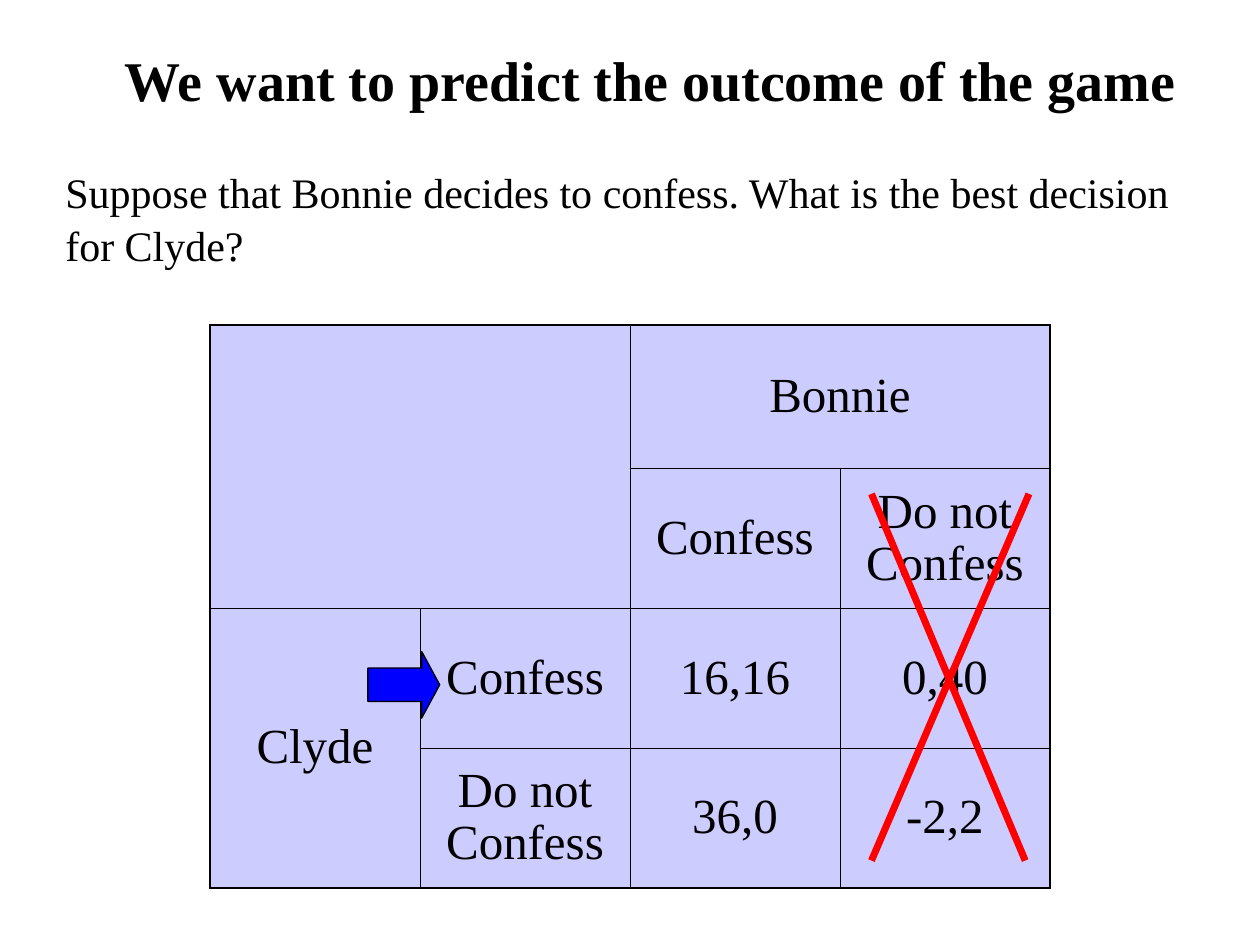
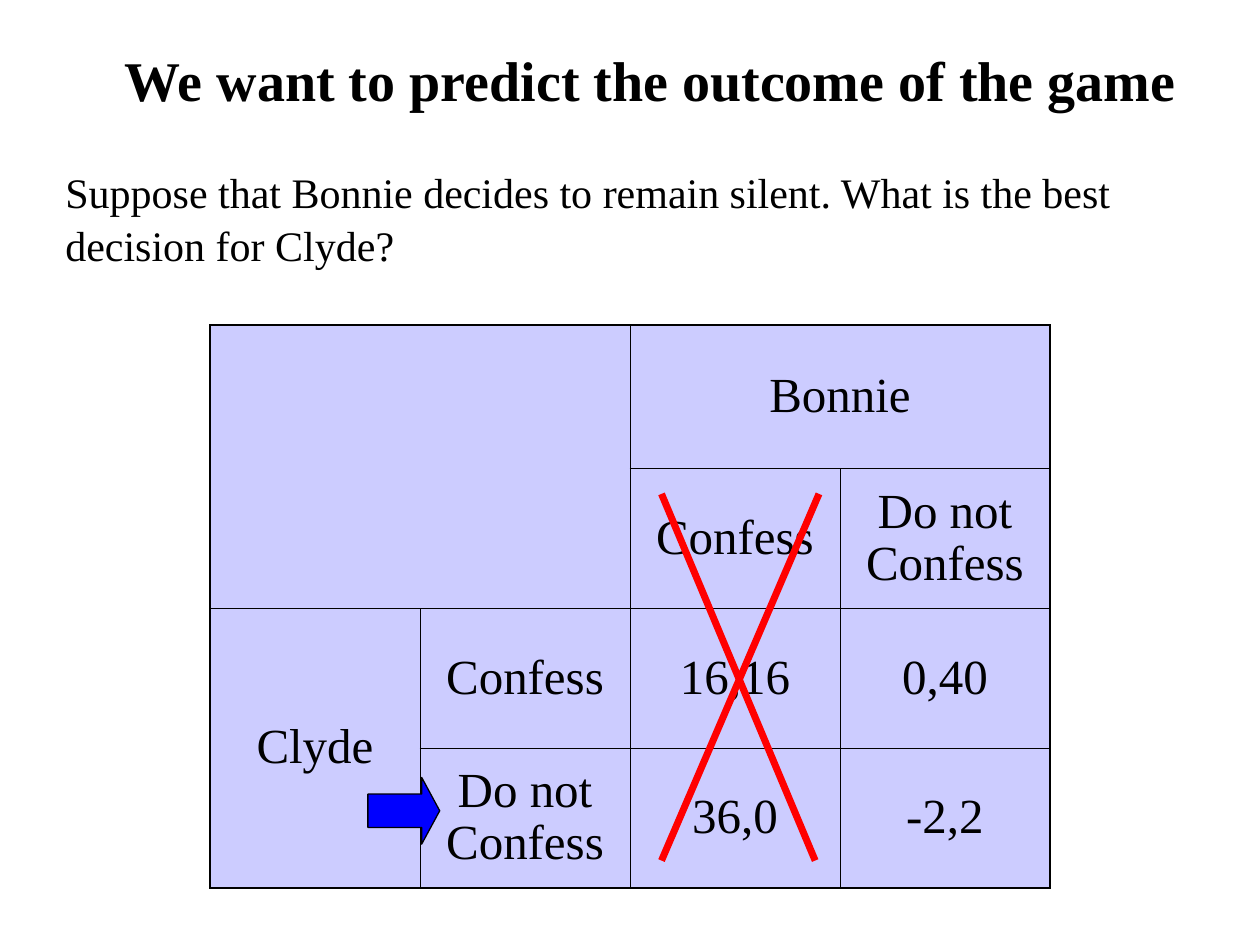
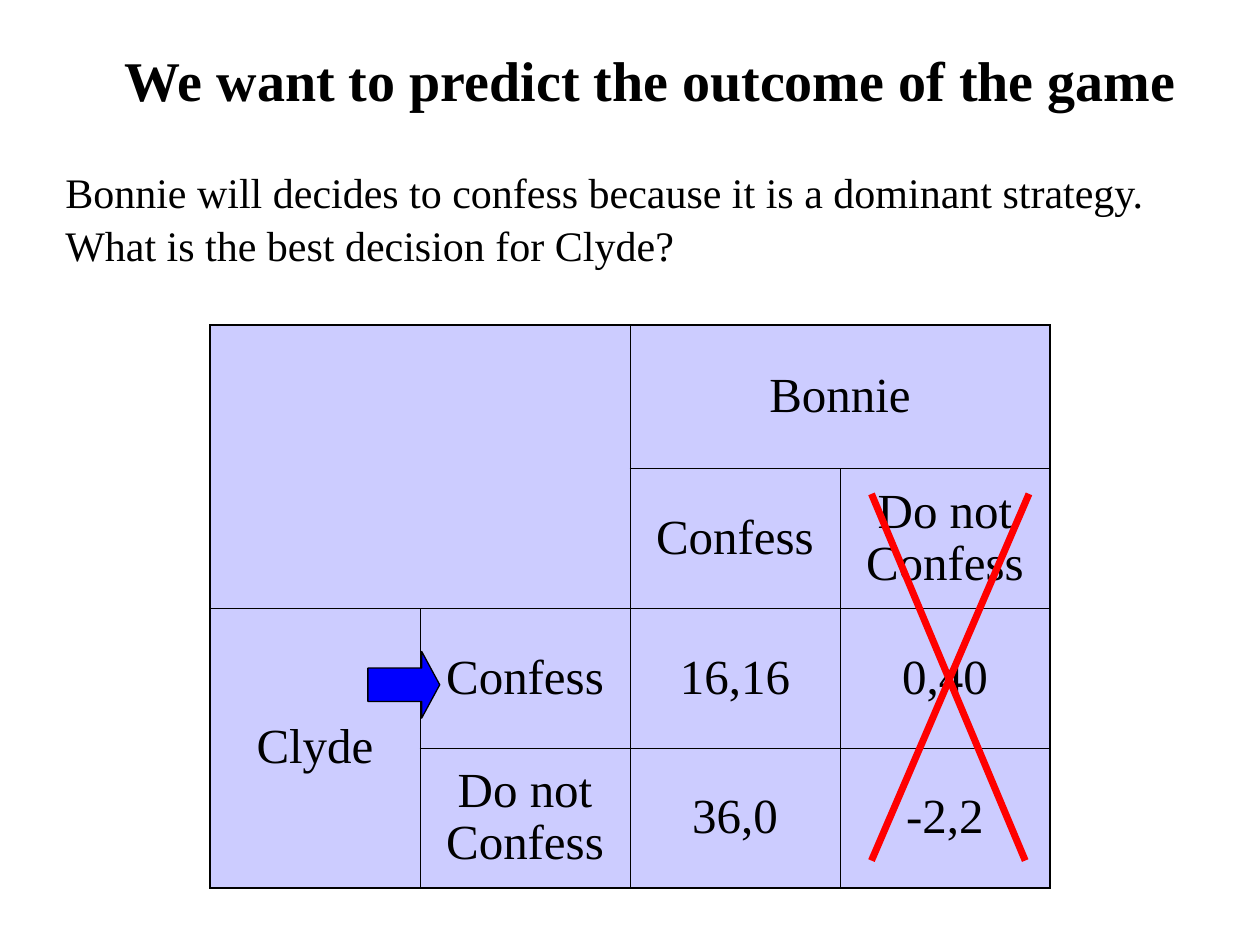
from lxml.etree import SubElement
from pptx import Presentation
from pptx.dml.color import RGBColor
from pptx.enum.shapes import MSO_CONNECTOR, MSO_SHAPE
from pptx.enum.text import MSO_ANCHOR, PP_ALIGN
from pptx.oxml.ns import qn
from pptx.util import Inches, Pt

# Content
TITLE = "We want to predict the outcome of the game"
SLIDES = [
    # question, struck column of the game, top of the arrow
    ("Suppose that Bonnie decides to confess. "
     "What is the best decision for Clyde?", 3, 5.17),
    ("Suppose that Bonnie decides to remain silent. "
     "What is the best decision for Clyde?", 2, 6.17),
    ("Bonnie will decides to confess because it is a dominant strategy. "
     "What is the best decision for Clyde?", 3, 5.17),
]
GAME = [
    # row, column, rows spanned, columns spanned, text
    (0, 0, 2, 2, ""),
    (0, 2, 1, 2, "Bonnie"),
    (1, 2, 1, 1, "Confess"),
    (1, 3, 1, 1, "Do not Confess"),
    (2, 0, 2, 1, "Clyde"),
    (2, 1, 1, 1, "Confess"),
    (2, 2, 1, 1, "16,16"),
    (2, 3, 1, 1, "0,40"),
    (3, 1, 1, 1, "Do not Confess"),
    (3, 2, 1, 1, "36,0"),
    (3, 3, 1, 1, "-2,2"),
]

# Shared look
FONT = "Times New Roman"
COLORS = {"ink": "000000", "cell": "CCCCFF", "cross": "FF0000", "arrow": "0000FF"}
OUTER, INNER = 1.08, 0.45

# Layout in inches
SLIDE_W, SLIDE_H = 10, 7.5
COLUMN_W = SLIDE_W / 6
GAME_LEFT, GAME_TOP = COLUMN_W, 2.58
ROW_HEIGHTS = [1.14, 1.11, 1.11, 1.11]
SIZE = len(ROW_HEIGHTS)
CROSS_INSET, CROSS_TOP, CROSS_BOTTOM = 0.25, 3.92, 6.83


def color(name):
    return RGBColor.from_string(COLORS[name])


def box(*lengths):
    return [Inches(length) for length in lengths]


def write(frame, text, size, bold=False, align=PP_ALIGN.LEFT, spacing=1.0):
    paragraph = frame.paragraphs[0]
    paragraph.alignment = align
    paragraph.line_spacing = spacing
    run = paragraph.add_run()
    run.text = text
    run.font.name, run.font.size, run.font.bold = FONT, Pt(size), bold
    run.font.color.rgb = color("ink")


def add_border(cell, tag, width):
    line = SubElement(cell._tc.get_or_add_tcPr(), qn(f"a:{tag}"))
    if width is None:
        SubElement(line, qn("a:noFill"))
        return
    line.set("w", str(Pt(width)))
    fill = SubElement(line, qn("a:solidFill"))
    SubElement(fill, qn("a:srgbClr")).set("val", COLORS["ink"])


def style_region(table, row, column, rows, columns):
    """Fill a region and border its edges, heavier on the table's rim."""
    last_row, last_column = row + rows - 1, column + columns - 1
    for r in range(row, last_row + 1):
        for c in range(column, last_column + 1):
            cell = table.cell(r, c)
            origin = (r, c) == (row, column)
            edges = [
                ("lnL", c == column, column == 0),
                ("lnR", c == last_column, last_column == SIZE - 1),
                ("lnT", r == row, row == 0),
                ("lnB", r == last_row, last_row == SIZE - 1),
            ]
            for tag, on_edge, on_rim in edges:
                width = OUTER if on_rim else INNER
                add_border(cell, tag, width if on_edge or origin else None)
            cell.fill.solid()
            cell.fill.fore_color.rgb = color("cell")


def add_title(slide):
    title = slide.shapes.title
    title.left, title.top, title.width, title.height = box(0.75, 0.25, 8.83, 0.75)
    title.text_frame.word_wrap = True
    title.text_frame.vertical_anchor = MSO_ANCHOR.MIDDLE
    write(title.text_frame, TITLE, 32, bold=True, align=PP_ALIGN.CENTER)


def add_game(slide):
    table = slide.shapes.add_table(
        SIZE, SIZE,
        *box(GAME_LEFT, GAME_TOP, SIZE * COLUMN_W, sum(ROW_HEIGHTS))).table
    table.first_row = table.horz_banding = False
    for column in table.columns:
        column.width = Inches(COLUMN_W)
    for row, height in zip(table.rows, ROW_HEIGHTS):
        row.height = Inches(height)
    for row, column, rows, columns, text in GAME:
        cell = table.cell(row, column)
        if rows * columns > 1:
            cell.merge(table.cell(row + rows - 1, column + columns - 1))
        style_region(table, row, column, rows, columns)
        cell.vertical_anchor = MSO_ANCHOR.MIDDLE
        if text:
            write(cell.text_frame, text, 28, align=PP_ALIGN.CENTER, spacing=0.96)


def add_question(slide, question):
    frame = slide.shapes.add_textbox(*box(0.42, 1.25, 9.25, 0.9)).text_frame
    frame.word_wrap = True
    write(frame, question, 24, spacing=1.05)


def add_cross(slide, column):
    left = GAME_LEFT + column * COLUMN_W + CROSS_INSET
    cross = slide.shapes.add_group_shape()
    for start, end, width in [(CROSS_BOTTOM, CROSS_TOP, 1.25),
                              (CROSS_TOP, CROSS_BOTTOM, 1.22)]:
        stroke = cross.shapes.add_connector(
            MSO_CONNECTOR.STRAIGHT, *box(left, start, left + width, end))
        stroke.line.color.rgb = color("cross")
        stroke.line.width = Pt(4)
        SubElement(stroke._element.spPr, qn("a:effectLst"))


def add_arrow(slide, top):
    arrow = slide.shapes.add_shape(MSO_SHAPE.RIGHT_ARROW, *box(2.92, top, 0.57, 0.53))
    arrow.adjustments[0], arrow.adjustments[1] = 0.5, 0.27
    arrow.shadow.inherit = False
    arrow.fill.solid()
    arrow.fill.fore_color.rgb = color("arrow")
    arrow.line.color.rgb = color("ink")
    arrow.line.width = Pt(0.75)


def main():
    deck = Presentation()
    deck.slide_width, deck.slide_height = box(SLIDE_W, SLIDE_H)
    title_only = deck.slide_layouts[5]
    for question, struck_column, arrow_top in SLIDES:
        slide = deck.slides.add_slide(title_only)
        add_title(slide)
        add_game(slide)
        add_question(slide, question)
        add_cross(slide, struck_column)
        add_arrow(slide, arrow_top)
    deck.save("out.pptx")


if __name__ == "__main__":
    main()
